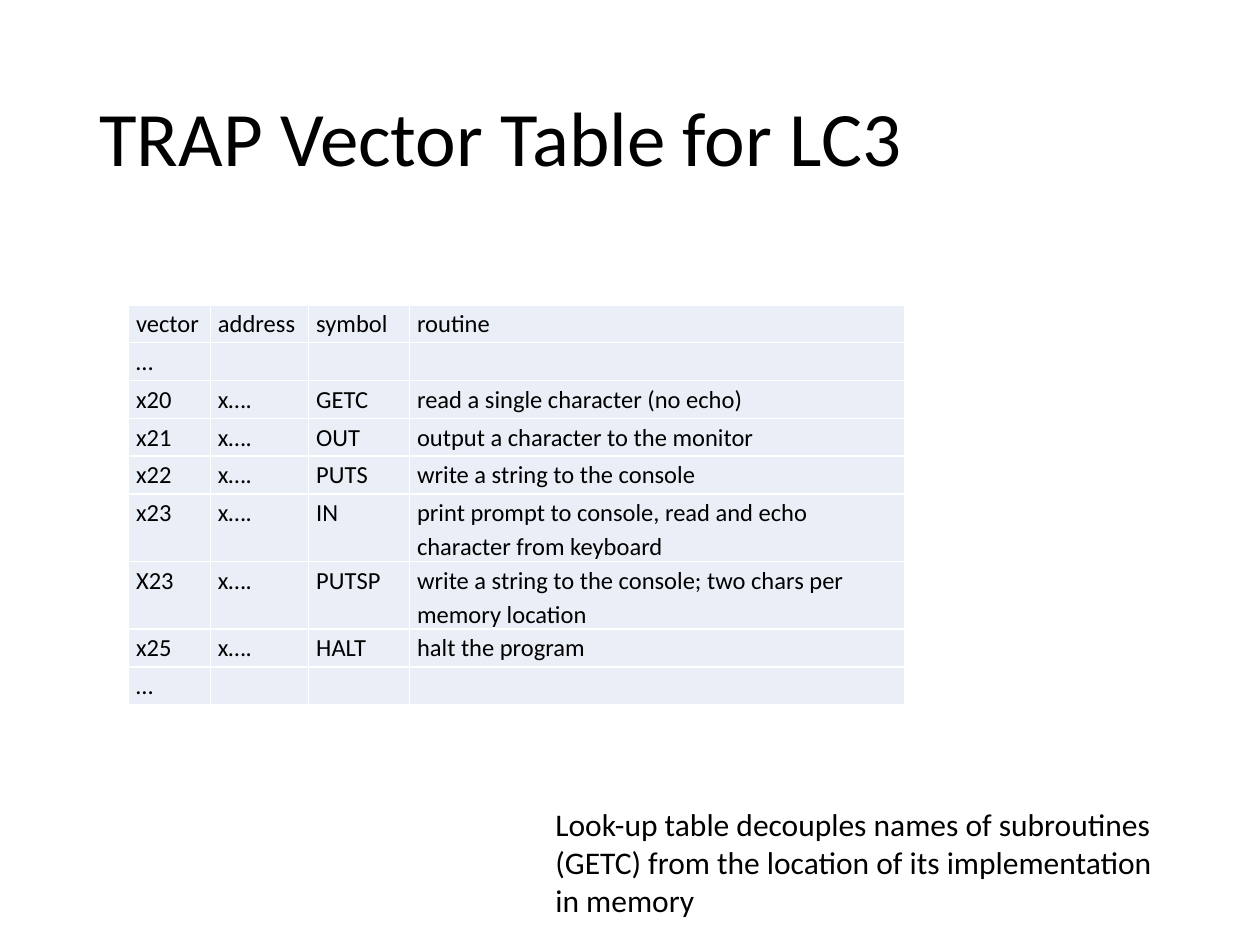
import dataclasses

import pptx
import pptx.dml.color
import pptx.enum.text
import pptx.oxml
import pptx.oxml.ns
import pptx.util

# The slide is a grid of 100 columns by 75 rows
UNIT = pptx.util.Inches(0.1)
COLUMNS, ROWS = 100, 75
FONT = "Calibri"
COLORS = {"text": "000000", "cell": "EAEFF7", "border": "FFFFFF"}


@dataclasses.dataclass
class Box:
    col: float
    row: float
    cols: float
    rows: float

    def emu(self) -> list[int]:
        return [grid(n) for n in (self.col, self.row, self.cols, self.rows)]


@dataclasses.dataclass
class TextItem:
    text: str
    box: Box
    size: int
    anchor: pptx.enum.text.MSO_ANCHOR
    spacing: float


@dataclasses.dataclass
class Trap:
    vector: str
    address: str = ""
    symbol: str = ""
    routine: str = ""
    height: float = 3


TEXTS = [
    TextItem("TRAP Vector Table for LC3", Box(6.9, 4, 86.2, 14.5), 44,
             pptx.enum.text.MSO_ANCHOR.MIDDLE, 0.9),
    TextItem("Look-up table decouples names of subroutines (GETC) from the "
             "location of its implementation in memory",
             Box(43.1, 63.4, 50, 10.1), 18, pptx.enum.text.MSO_ANCHOR.TOP, 1),
]

TABLE_COL, TABLE_ROW = 10.2, 24.2
COL_WIDTHS = [6.5, 7.8, 8, 39.3]
TRAPS = [
    Trap("vector", "address", "symbol", "routine"),
    Trap("…"),
    Trap("x20", "x….", "GETC", "read a single character (no echo)"),
    Trap("x21", "x….", "OUT", "output a character to the monitor"),
    Trap("x22", "x….", "PUTS", "write a string to the console"),
    Trap("x23", "x….", "IN",
         "print prompt to console, read and echo character from keyboard", 5.2),
    Trap("X23", "x….", "PUTSP",
         "write a string to the console; two chars per memory location", 5.2),
    Trap("x25", "x….", "HALT", "halt the program"),
    Trap("…"),
]


def grid(n: float) -> int:
    return round(n * UNIT)


def rgb(name: str) -> pptx.dml.color.RGBColor:
    return pptx.dml.color.RGBColor.from_string(COLORS[name])


def style_paragraph(p, size: int, spacing: float) -> None:
    p.line_spacing = spacing
    p.font.name = FONT
    p.font.size = pptx.util.Pt(size)
    p.font.color.rgb = rgb("text")


def draw_text(slide, item: TextItem) -> None:
    tf = slide.shapes.add_textbox(*item.box.emu()).text_frame
    tf.word_wrap = True
    tf.vertical_anchor = item.anchor
    tf.text = item.text
    style_paragraph(tf.paragraphs[0], item.size, item.spacing)


def style_cell(cell, text: str) -> None:
    cell.margin_left = cell.margin_right = pptx.util.Inches(0.06)
    cell.margin_top = cell.margin_bottom = 0
    cell.text = text
    style_paragraph(cell.text_frame.paragraphs[0], 14, 1.15)
    # Borders go before the fill in the cell properties
    tc_pr = cell._tc.get_or_add_tcPr()
    for side in ("lnL", "lnR", "lnT", "lnB"):
        tc_pr.append(pptx.oxml.parse_xml(
            f'<a:{side} {pptx.oxml.ns.nsdecls("a")} w="{pptx.util.Pt(1)}">'
            f'<a:solidFill><a:srgbClr val="{COLORS["border"]}"/></a:solidFill>'
            f'</a:{side}>'))
    cell.fill.solid()
    cell.fill.fore_color.rgb = rgb("cell")


def draw_table(slide, traps: list[Trap]) -> None:
    box = Box(TABLE_COL, TABLE_ROW, sum(COL_WIDTHS), sum(t.height for t in traps))
    table = slide.shapes.add_table(len(traps), len(COL_WIDTHS), *box.emu()).table
    table.first_row = table.horz_banding = False
    for column, width in zip(table.columns, COL_WIDTHS):
        column.width = grid(width)
    for row, trap in zip(table.rows, traps):
        row.height = grid(trap.height)
        values = (trap.vector, trap.address, trap.symbol, trap.routine)
        for cell, text in zip(row.cells, values):
            style_cell(cell, text)


def main() -> None:
    prs = pptx.Presentation()
    prs.slide_width, prs.slide_height = grid(COLUMNS), grid(ROWS)
    slide = prs.slides.add_slide(prs.slide_layouts[6])
    title, note = TEXTS
    draw_text(slide, title)
    draw_table(slide, TRAPS)
    draw_text(slide, note)
    prs.save("out.pptx")


if __name__ == "__main__":
    main()
